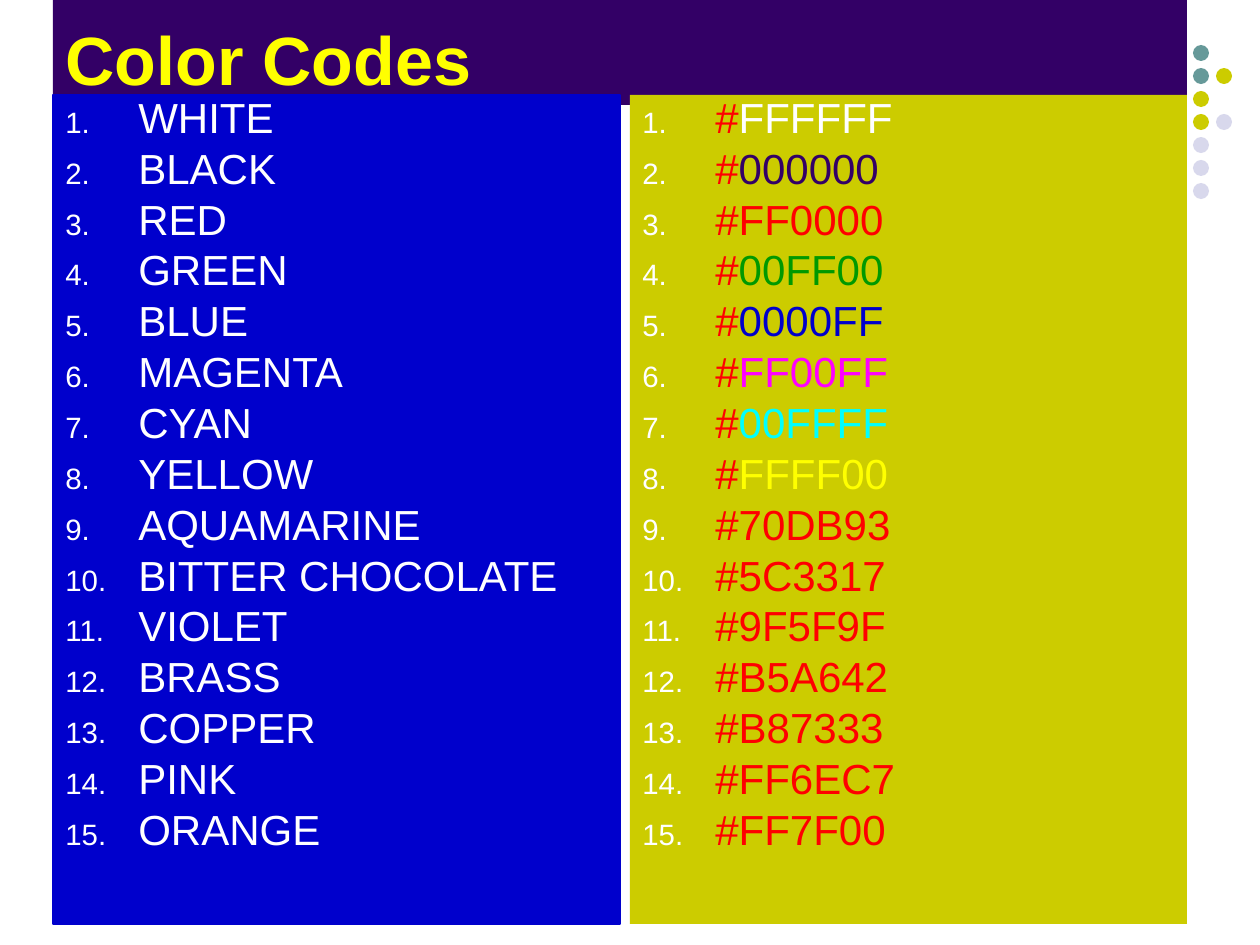
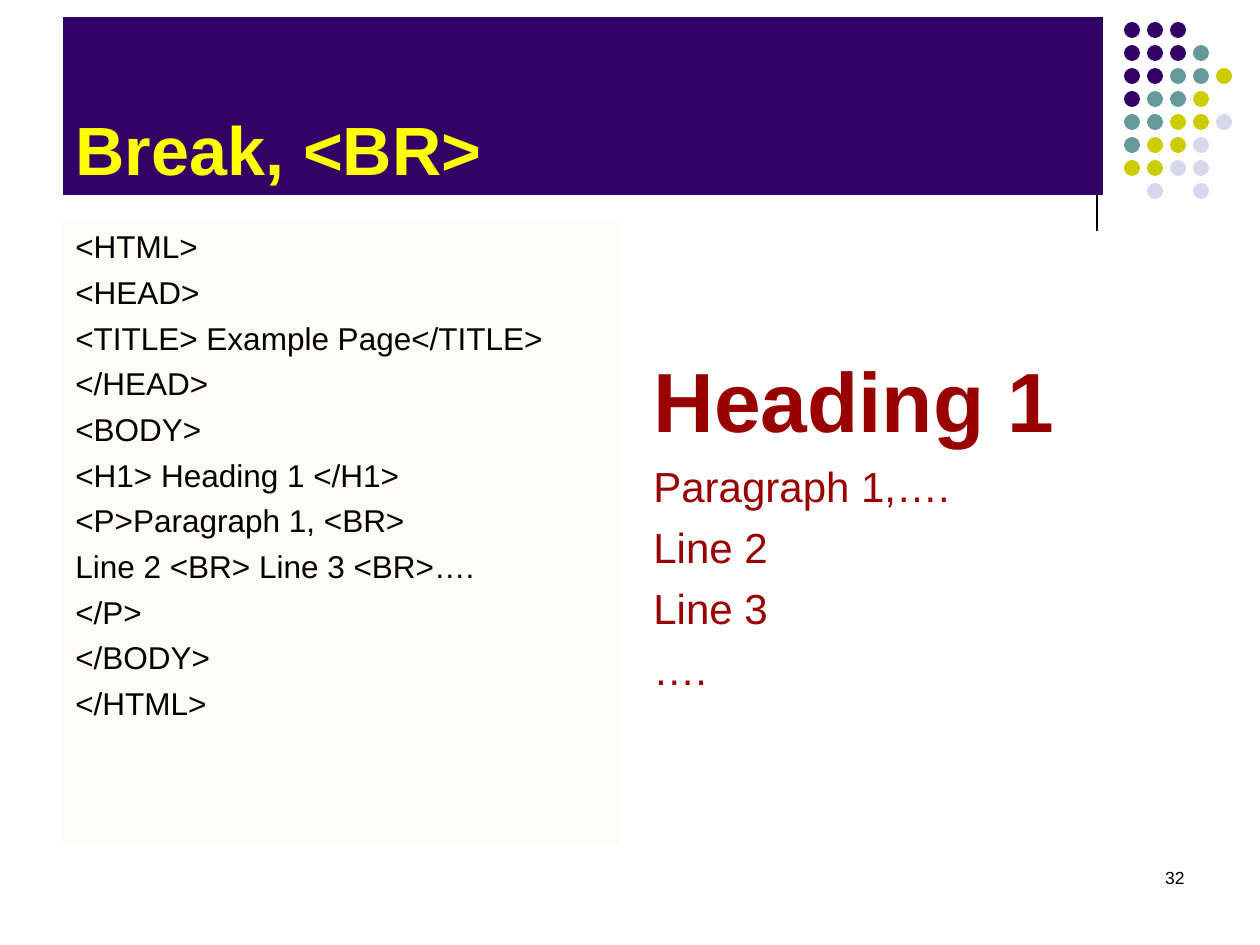
import lxml.etree
import pptx
import pptx.dml.color
import pptx.enum.shapes
import pptx.enum.text
import pptx.oxml.ns
import pptx.util

SCALE = 914400 / 126
FONT = "Arial"
COLORS = {
    "purple": "330066", "teal": "669999", "olive": "CCCC00", "lavender": "D8D8EC",
    "white": "FFFFFF", "black": "000000", "red": "FF0000", "green": "009900",
    "blue": "0000CC", "magenta": "FF00FF", "cyan": "00FFFF", "yellow": "FFFF00",
    "maroon": "990000",
}
DOT_COLORS = {"P": "purple", "T": "teal", "Y": "olive", "L": "lavender"}
DOT_ROWS = ["PPP", "PPPT", "PPTTY", "PTTY", "TTYYL", "TYYL", "YYLL", " L L"]
DOT_LEFT, DOT_TOP, DOT_PITCH, DOT_SIZE = 1124, 22, 23, 16

COLOR_CODES = [
    ("WHITE", "FFFFFF", "white"), ("BLACK", "000000", "purple"),
    ("RED", "FF0000", "red"), ("GREEN", "00FF00", "green"),
    ("BLUE", "0000FF", "blue"), ("MAGENTA", "FF00FF", "magenta"),
    ("CYAN", "00FFFF", "cyan"), ("YELLOW", "FFFF00", "yellow"),
    ("AQUAMARINE", "70DB93", "red"), ("BITTER CHOCOLATE", "5C3317", "red"),
    ("VIOLET", "9F5F9F", "red"), ("BRASS", "B5A642", "red"),
    ("COPPER", "B87333", "red"), ("PINK", "FF6EC7", "red"),
    ("ORANGE", "FF7F00", "red"),
]
HTML_LINES = [
    "<HTML>", "<HEAD>", "<TITLE> Example Page</TITLE>", "</HEAD>", "<BODY>",
    "<H1> Heading 1 </H1>", "<P>Paragraph 1, <BR>", "Line 2 <BR> Line 3 <BR>….",
    "</P>", "</BODY>", "</HTML>",
]
RESULT_LINES = ["Paragraph 1,….", "Line 2", "Line 3", "…."]


def px(length):
    return pptx.util.Emu(round(length * SCALE))


def rgb(name):
    return pptx.dml.color.RGBColor.from_string(COLORS[name])


def add_child(parent, tag, **attributes):
    return lxml.etree.SubElement(parent, pptx.oxml.ns.qn(tag), attributes)


def fill_solid(shape, color, alpha=None):
    shape.fill.solid()
    shape.fill.fore_color.rgb = rgb(color)
    if alpha is not None:
        fill_color = shape.element.spPr.find(".//" + pptx.oxml.ns.qn("a:srgbClr"))
        add_child(fill_color, "a:alpha", val=str(alpha * 1000))


def add_span(para, text, size=24, color="black", bold=False):
    span = para.add_run()
    span.text = text
    span.font.name = FONT
    span.font.size = pptx.util.Pt(size)
    span.font.bold = bold
    span.font.color.rgb = rgb(color)


def set_frame(frame, anchor=pptx.enum.text.MSO_ANCHOR.TOP):
    frame.word_wrap = True
    frame.auto_size = pptx.enum.text.MSO_AUTO_SIZE.NONE
    frame.vertical_anchor = anchor


def next_para(frame, space_before=0):
    if not frame.paragraphs[0].runs:
        para = frame.paragraphs[0]
        space_before = 0
    else:
        para = frame.add_paragraph()
    para.space_before = pptx.util.Pt(space_before)
    return para


def add_panel(page, left, top, width, height, fill=None, alpha=None, line=None):
    box = page.shapes.add_textbox(px(left), px(top), px(width), px(height))
    set_frame(box.text_frame)
    if fill:
        fill_solid(box, fill, alpha)
    if line:
        box.line.color.rgb = rgb(line)
        box.line.width = pptx.util.Pt(0.75)
    return box.text_frame


def add_numbered(frame, spans):
    para = next_para(frame, space_before=6)
    para.line_spacing = 0.8
    properties = para._p.get_or_add_pPr()
    properties.set("marL", str(px(73)))
    properties.set("indent", str(px(-73)))
    add_child(add_child(properties, "a:buClr"), "a:srgbClr", val=COLORS["white"])
    add_child(properties, "a:buSzPct", val="70000")
    add_child(properties, "a:buAutoNum", type="arabicPeriod")
    for text, color in spans:
        add_span(para, text, color=color)


def add_dots(page, first_column=0):
    for row, pattern in enumerate(DOT_ROWS):
        for column, key in enumerate(pattern):
            if key == " " or column < first_column:
                continue
            dot = page.shapes.add_shape(
                pptx.enum.shapes.MSO_SHAPE.OVAL,
                px(DOT_LEFT + column * DOT_PITCH), px(DOT_TOP + row * DOT_PITCH),
                px(DOT_SIZE), px(DOT_SIZE))
            dot.shadow.inherit = False
            fill_solid(dot, DOT_COLORS[key])
            dot.line.fill.background()


def add_rule(page, x, top, bottom):
    rule = page.shapes.add_connector(
        pptx.enum.shapes.MSO_CONNECTOR.STRAIGHT, px(x), px(top), px(x), px(bottom))
    rule.line.color.rgb = rgb("black")
    rule.line.width = pptx.util.Pt(0.75)
    add_child(rule.element.spPr, "a:effectLst")


def set_title(page, text, left, top, width, height):
    title = page.shapes.title
    title.left, title.top = px(left), px(top)
    title.width, title.height = px(width), px(height)
    fill_solid(title, "purple")
    set_frame(title.text_frame, pptx.enum.text.MSO_ANCHOR.BOTTOM)
    para = next_para(title.text_frame)
    para.alignment = pptx.enum.text.PP_ALIGN.LEFT
    add_span(para, text, size=39, color="yellow", bold=True)
    title.element.getparent().append(title.element)


def add_page(deck):
    return deck.slides.add_slide(deck.slide_layouts[5])


def build_color_codes(deck):
    page = add_page(deck)
    add_dots(page, first_column=3)
    set_title(page, "Color Codes", 53, 0, 1134, 105)
    names = add_panel(page, 53, 95, 567, 829, fill="blue", line="blue")
    codes = add_panel(page, 630, 95, 557, 829, fill="olive")
    for name, code, color in COLOR_CODES:
        add_numbered(names, [(name, "white")])
        add_numbered(codes, [("#", "red"), (code, color)])


def build_break(deck):
    page = add_page(deck)
    add_dots(page)
    add_rule(page, 1097, 21, 231)
    set_title(page, "Break, <BR>", 63, 17, 1040, 178)

    source = add_panel(page, 63, 221, 556, 623, fill="olive", alpha=4)
    for line in HTML_LINES:
        add_span(next_para(source, space_before=4.5), line, size=18)

    result = add_panel(page, 641, 221, 556, 623)
    result.margin_top = px(128)
    add_span(next_para(result), "Heading 1", size=48, color="maroon", bold=True)
    for line in RESULT_LINES:
        add_span(next_para(result, space_before=6), line, color="maroon")

    number = next_para(add_panel(page, 903, 861, 294, 63))
    number.alignment = pptx.enum.text.PP_ALIGN.RIGHT
    add_span(number, "32", size=10)


def main():
    deck = pptx.Presentation()
    deck.slide_width, deck.slide_height = px(1260), px(945)
    build_color_codes(deck)
    build_break(deck)
    deck.save("out.pptx")


if __name__ == "__main__":
    main()
